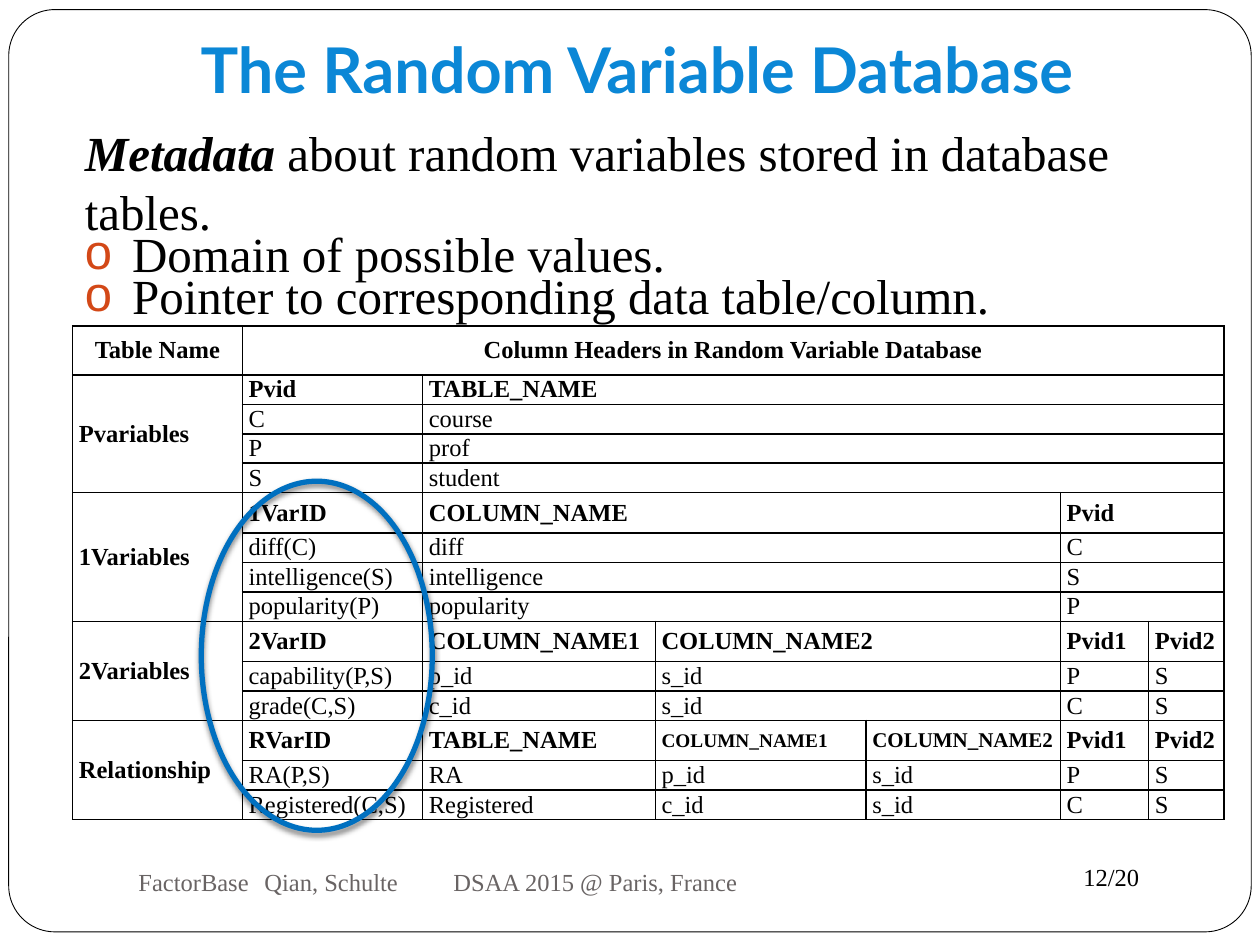
from lxml import etree
from pptx import Presentation
from pptx.dml.color import RGBColor
from pptx.enum.shapes import MSO_SHAPE
from pptx.enum.text import MSO_ANCHOR, PP_ALIGN
from pptx.oxml.ns import qn
from pptx.util import Pt

ROUND, OVAL = MSO_SHAPE.ROUNDED_RECTANGLE, MSO_SHAPE.OVAL
MIDDLE, BOTTOM = MSO_ANCHOR.MIDDLE, MSO_ANCHOR.BOTTOM
LEFT, CENTER = PP_ALIGN.LEFT, PP_ALIGN.CENTER
SERIF = "Times New Roman"
BLACK, WHITE, GREY = "000000", "FFFFFF", "696464"
SKY, BLUE, RUST = "0B87D6", "0070C0", "D34817"

WIDTHS = [97, 103, 133, 120.5, 111, 50.5, 43]
TOP_H, HEAD_H, ROW_H = 28, 23, 16.8
# Each group: name, height of its head row, first column of each field, rows
GROUPS = [
    ("Pvariables", ROW_H, [1, 2], [
        ["Pvid", "TABLE_NAME"],
        ["C", "course"],
        ["P", "prof"],
        ["S", "student"]]),
    ("1Variables", HEAD_H, [1, 2, 5], [
        ["1VarID", "COLUMN_NAME", "Pvid"],
        ["diff(C)", "diff", "C"],
        ["intelligence(S)", "intelligence", "S"],
        ["popularity(P)", "popularity", "P"]]),
    ("2Variables", HEAD_H, [1, 2, 3, 5, 6], [
        ["2VarID", "COLUMN_NAME1", "COLUMN_NAME2", "Pvid1", "Pvid2"],
        ["capability(P,S)", "p_id", "s_id", "P", "S"],
        ["grade(C,S)", "c_id", "s_id", "C", "S"]]),
    ("Relationship", HEAD_H, [1, 2, 3, 4, 5, 6], [
        ["RVarID", "TABLE_NAME", "COLUMN_NAME1", "COLUMN_NAME2", "Pvid1", "Pvid2"],
        ["RA(P,S)", "RA", "p_id", "s_id", "P", "S"],
        ["Registered(C,S)", "Registered", "c_id", "s_id", "C", "S"]]),
]
SMALL = {(12, 3): 11, (12, 4): 12}  # head cells with smaller type


def rgb(code):
    return RGBColor.from_string(code)


def node(base, tag, **attrs):
    return etree.SubElement(base, qn(tag), attrs)


def pts(*nums):
    return [Pt(n) for n in nums]


def write(para, text, size, color=BLACK, **form):
    run = para.add_run()
    run.text = text
    run.font.color.rgb = rgb(color)
    for key, value in {"name": SERIF, "size": Pt(size), **form}.items():
        setattr(run.font, key, value)


def outline(slide, kind, box, color, width):
    shape = slide.shapes.add_shape(kind, *pts(*box))
    shape.shadow.inherit = False
    shape.fill.background()
    shape.line.color.rgb = rgb(color)
    shape.line.width = Pt(width)
    return shape


def add_text(slide, box):
    frame = slide.shapes.add_textbox(*pts(*box)).text_frame
    frame.word_wrap = True
    return frame


def add_frame(slide, box):
    shape = outline(slide, ROUND, box, BLACK, 0.5)
    shape.adjustments[0] = 0.05
    shape.fill.solid()
    shape.fill.fore_color.rgb = rgb(WHITE)
    slide.shapes._spTree.insert(2, shape._element)  # send to back


def add_title(slide, box):
    title = slide.shapes.title
    title.left, title.top, title.width, title.height = pts(*box)
    frame = title.text_frame
    frame.vertical_anchor = BOTTOM
    frame.margin_bottom = Pt(7.2)
    para = frame.paragraphs[0]
    para.alignment = CENTER
    write(para, "The Random Variable Database", 36, SKY, name="Lato", bold=True)


def add_body(slide, box):
    frame = add_text(slide, box)
    para = frame.paragraphs[0]
    write(para, "Metadata ", 28, bold=True, italic=True)
    write(para, "about random variables stored in database tables.", 28)
    for text in ["Domain of possible values.",
                 "Pointer to corresponding data table/column."]:
        para = frame.add_paragraph()
        para.line_spacing = Pt(24)
        props = para._p.get_or_add_pPr()
        props.set("marL", str(Pt(27)))
        props.set("indent", str(Pt(-27)))
        node(node(props, "a:buClr"), "a:srgbClr", val=RUST)
        node(props, "a:buFont", typeface="Arial")
        node(props, "a:buChar", char="o")
        write(para, text, 28)


def edge(cell):
    props = cell._tc.get_or_add_tcPr()
    for tag in ["a:lnL", "a:lnR", "a:lnT", "a:lnB"]:
        line = node(props, tag, w=str(Pt(1)))
        node(node(line, "a:solidFill"), "a:srgbClr", val=BLACK)


def fill_cell(table, row, col, last, text, bold=True, align=LEFT):
    """Write a cell that reaches to the (row, column) given by last."""
    cell = table.cell(row, col)
    if last != (row, col):
        cell.merge(table.cell(*last))
    cell.vertical_anchor = MIDDLE
    para = cell.text_frame.paragraphs[0]
    para.alignment = align
    write(para, text, SMALL.get((row, col), 14), bold=bold)


def add_grid(slide, left, top):
    heights = [TOP_H]
    for _, head, _, rows in GROUPS:
        heights += [head] + [ROW_H] * (len(rows) - 1)
    box = pts(left, top, sum(WIDTHS), sum(heights))
    table = slide.shapes.add_table(len(heights), len(WIDTHS), *box).table
    table.first_row = table.horz_banding = False
    for col, width in zip(table.columns, WIDTHS):
        col.width = Pt(width)
    for row, height in zip(table.rows, heights):
        row.height = Pt(height)
    for cell in table.iter_cells():
        cell.margin_left = cell.margin_right = Pt(3.6)
        cell.margin_top = cell.margin_bottom = 0
        edge(cell)
        cell.fill.solid()
        cell.fill.fore_color.rgb = rgb(WHITE)

    # Head row, then the groups
    end = len(WIDTHS) - 1
    fill_cell(table, 0, 0, (0, 0), "Table Name", align=CENTER)
    fill_cell(table, 0, 1, (0, end),
              "Column Headers in Random Variable Database", align=CENTER)
    first = 1
    for name, _, starts, rows in GROUPS:
        fill_cell(table, first, 0, (first + len(rows) - 1, 0), name)
        stops = [start - 1 for start in starts[1:]] + [end]
        for row, texts in enumerate(rows, first):
            for col, stop, text in zip(starts, stops, texts):
                fill_cell(table, row, col, (row, stop), text, row == first)
        first += len(rows)


def add_foot(slide, box):
    frame = add_text(slide, box)
    frame.vertical_anchor = MIDDLE
    para = frame.paragraphs[0]
    tabs = node(para._p.get_or_add_pPr(), "a:tabLst")
    for stop in [72, 180]:
        node(tabs, "a:tab", pos=str(Pt(stop)), algn="l")
    write(para, "FactorBase\tQian, Schulte\tDSAA 2015 @ Paris, France", 14, GREY)


def add_page(slide, box):
    write(add_text(slide, box).paragraphs[0], "12/20", 14)


def add_ring(slide, box):
    ring = outline(slide, OVAL, box, BLUE, 3)
    effects = ring._element.spPr.find(qn("a:effectLst"))
    shade = node(effects, "a:outerShdw", blurRad=str(Pt(3)), dist=str(Pt(2)),
                 dir="5400000", rotWithShape="0")
    node(node(shade, "a:srgbClr", val=BLACK), "a:alpha", val="50000")


def main():
    deck = Presentation()
    deck.slide_width, deck.slide_height = pts(720, 540)
    slide = deck.slides.add_slide(deck.slide_layouts[5])
    add_frame(slide, (5, 5.5, 710, 527))
    add_page(slide, (612, 489, 72, 24.5))
    add_title(slide, (50.5, 9, 627, 59))
    add_body(slide, (41.4, 66.5, 658, 114))
    add_grid(slide, 41.5, 186.2)
    add_foot(slide, (72, 486, 480, 36))
    add_ring(slide, (115, 275, 132, 199.5))
    deck.save("out.pptx")


if __name__ == "__main__":
    main()
